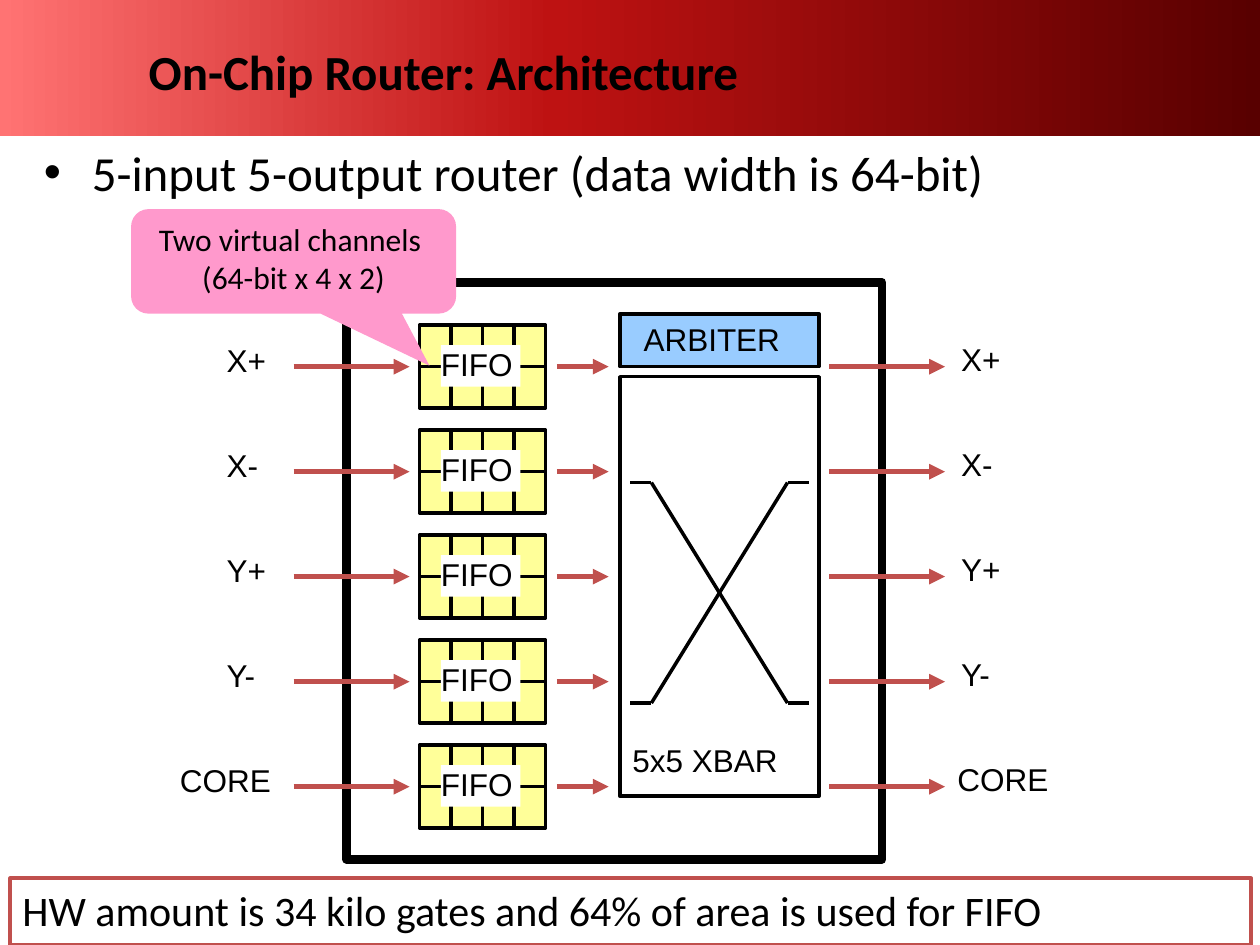
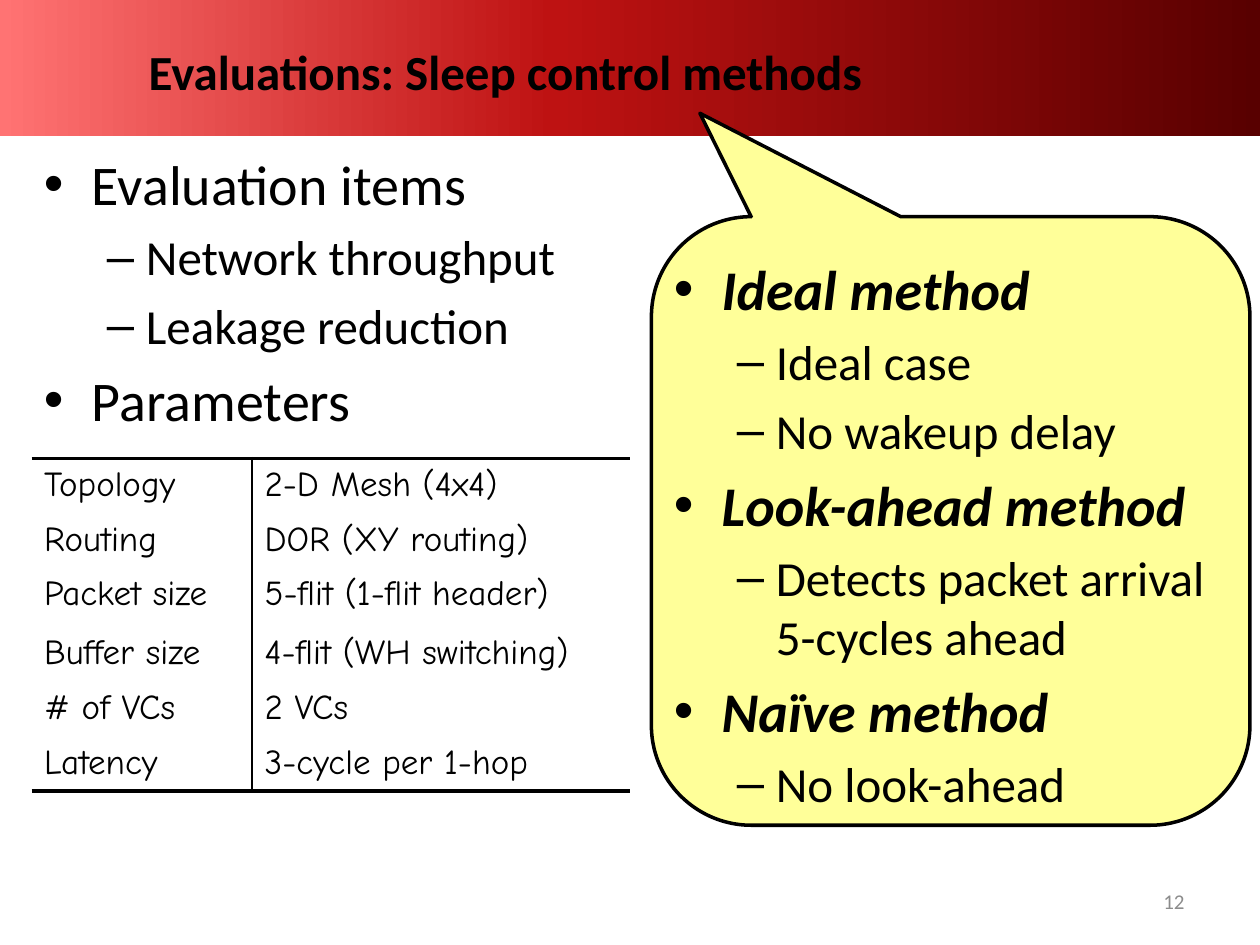
from copy import deepcopy
from dataclasses import dataclass

from lxml import etree
from pptx import Presentation
from pptx.dml.color import RGBColor
from pptx.enum.shapes import MSO_CONNECTOR, MSO_SHAPE
from pptx.enum.text import MSO_ANCHOR, MSO_AUTO_SIZE, PP_ALIGN
from pptx.oxml.ns import qn
from pptx.util import Inches, Pt

RECTANGLE = MSO_SHAPE.RECTANGLE
CALLOUT = MSO_SHAPE.ROUNDED_RECTANGULAR_CALLOUT
STRAIGHT = MSO_CONNECTOR.STRAIGHT
TOP, MIDDLE = MSO_ANCHOR.TOP, MSO_ANCHOR.MIDDLE
LEFT, CENTER, RIGHT = PP_ALIGN.LEFT, PP_ALIGN.CENTER, PP_ALIGN.RIGHT
NO_AUTOFIT = MSO_AUTO_SIZE.NONE
PLAIN_TABLE = "{2D5ABB26-0587-4C30-8999-92F81FD0307C}"


@dataclass(frozen=True)
class Theme:
    """Colours, fonts and type sizes of the deck."""
    ink: str = "000000"
    paper: str = "FFFFFF"
    accent: str = "C0504D"
    yellow: str = "FFFF99"
    pink: str = "FF99CC"
    blue: str = "99CCFF"
    grey: str = "8C8C8C"
    band: tuple = ((0, "FF7373"), (0.44, "BE1212"), (1, "580000"))
    body_font: str = "Calibri"
    label_font: str = "Arial"
    table_font: str = "Comic Neue"
    heading: int = 32
    title: int = 28
    note: int = 24
    cell: int = 20
    label: int = 18
    footer: int = 12


@dataclass(frozen=True)
class Box:
    """A rectangle in inches."""
    left: float
    top: float
    width: float
    height: float

    def inner(self, left, top, width, height):
        """Return a box placed relative to this one."""
        return Box(self.left + left, self.top + top, width, height)

    def lengths(self):
        """Return the four sides as lengths."""
        return [Inches(side) for side in (self.left, self.top, self.width, self.height)]


THEME = Theme()


def apply(target, values):
    """Set each named attribute on the target."""
    for name, value in values.items():
        setattr(target, name, value)


def write(para, text, size, font=THEME.body_font, color=THEME.ink, align=LEFT, **style):
    """Write one formatted span into a paragraph."""
    para.alignment = align
    span = para.add_run()
    span.text = text
    apply(span.font, {"size": Pt(size), "name": font, **style})
    span.font.color.rgb = RGBColor.from_string(color)


def space_before(para):
    """Put a fifth of a line above a paragraph."""
    spacing = etree.SubElement(para._p.get_or_add_pPr(), qn("a:spcBef"))
    etree.SubElement(spacing, qn("a:spcPct"), val="20000")


def add_text(page, box, text, size, anchor=TOP, **style):
    """Add a text box with one paragraph."""
    frame = page.shapes.add_textbox(*box.lengths()).text_frame
    apply(frame, {"word_wrap": True, "vertical_anchor": anchor})
    write(frame.paragraphs[0], text, size, **style)


def add_shape(page, box, fill, line=None, weight=2, kind=RECTANGLE):
    """Add a flat preset shape and return it."""
    shape = page.shapes.add_shape(kind, *box.lengths())
    shape.shadow.inherit = False
    shape.fill.solid()
    shape.fill.fore_color.rgb = RGBColor.from_string(fill)
    if line:
        shape.line.color.rgb = RGBColor.from_string(line)
        shape.line.width = Pt(weight)
    else:
        shape.line.fill.background()
    apply(shape.text_frame, {"word_wrap": True, "vertical_anchor": TOP})
    return shape


def add_callout(page, box, fill, tip, line=None):
    """Add a rounded callout whose tip is given in box fractions."""
    callout = add_shape(page, box, fill, line, kind=CALLOUT)
    for index, value in enumerate((*tip, 0.167)):
        callout.adjustments[index] = value
    return callout


def add_line(page, box, start, end, color=THEME.ink, weight=2, arrow=False):
    """Draw a straight line between two points of a box."""
    ends = [Inches(value) for x, y in (start, end) for value in (box.left + x, box.top + y)]
    line = page.shapes.add_connector(STRAIGHT, *ends)
    line.line.color.rgb = RGBColor.from_string(color)
    line.line.width = Pt(weight)
    properties = line.element.spPr
    if arrow:
        etree.SubElement(properties.find(qn("a:ln")), qn("a:tailEnd"), type="triangle")
    etree.SubElement(properties, qn("a:effectLst"))


def add_band(deck, page, box):
    """Place the gradient title band on the slide master."""
    band = add_shape(page, box, THEME.accent)
    band.fill.gradient()
    band.fill.gradient_angle = 0
    stops = band.element.find(".//" + qn("a:gsLst"))
    stops.insert(1, deepcopy(stops[0]))
    for stop, (position, color) in zip(band.fill.gradient_stops, THEME.band):
        stop.position = position
        stop.color.rgb = RGBColor.from_string(color)
    deck.slide_master.shapes.element.insert(2, band.element)


def add_page(deck, title):
    """Add a title-only page with its heading."""
    page = deck.slides.add_slide(deck.slide_layouts[5])
    holder = page.shapes.title
    sides = Box(1.08, 0.17, 8.42, 0.78).lengths()
    apply(holder, dict(zip(("left", "top", "width", "height"), sides)))
    frame = holder.text_frame
    apply(frame, {"vertical_anchor": MIDDLE, "word_wrap": True, "auto_size": NO_AUTOFIT})
    write(frame.paragraphs[0], title, THEME.title, bold=True)
    return page


def add_bullets(page, box, items, heading=THEME.heading, **heading_style):
    """Fill a box with (level, text) bullets."""
    frame = page.shapes.add_textbox(*box.lengths()).text_frame
    frame.word_wrap = True
    for index, (level, text) in enumerate(items):
        para = frame.add_paragraph() if index else frame.paragraphs[0]
        para.level = level
        margin, hanging, mark = ((0.38, 0.38, "•"), (0.81, 0.31, "–"))[level]
        properties = para._p.get_or_add_pPr()
        properties.set("marL", str(Inches(margin)))
        properties.set("indent", str(-Inches(hanging)))
        space_before(para)
        etree.SubElement(properties, qn("a:buFont"), typeface=THEME.label_font)
        etree.SubElement(properties, qn("a:buChar"), char=mark)
        style = {} if level else heading_style
        write(para, text, THEME.title if level else heading, **style)


def add_label(page, box, text):
    """Add a diagram label."""
    add_text(page, box, text, THEME.label, font=THEME.label_font)


def add_fifo(page, box):
    """Draw a two by four grid of buffer cells with its name."""
    width, height = box.width / 4, box.height / 2
    for row in range(2):
        for column in range(4):
            cell = box.inner(column * width, row * height, width, height)
            add_shape(page, cell, THEME.yellow, THEME.ink)
    name = add_shape(page, box.inner(0.17, 0.16, 0.63, 0.33), THEME.paper)
    margins = ("margin_left", "margin_top", "margin_right", "margin_bottom")
    apply(name.text_frame, dict.fromkeys(margins, 0))
    write(name.text_frame.paragraphs[0], "FIFO", THEME.label, font=THEME.label_font)


def add_crossbar(page, box):
    """Draw the crossbar switch with its crossing paths."""
    add_shape(page, box, THEME.paper, THEME.ink)
    outer, inner, high, low = 0.08, 0.25, 0.84, 2.59
    far_inner, far_outer = box.width - inner, box.width - outer
    for start, end in ((high, low), (low, high)):
        add_line(page, box, (inner, start), (far_inner, end))
        add_line(page, box, (outer, start), (inner, start))
        add_line(page, box, (far_inner, start), (far_outer, start))
    add_label(page, box.inner(0, 2.84, 1.48, 0.43), "5x5 XBAR")


def add_router(page, box):
    """Draw the router frame, its ports, buffers, arbiter and crossbar."""
    add_shape(page, box, THEME.paper, THEME.ink, weight=5)
    add_crossbar(page, box.inner(2.17, 0.75, 1.58, 3.33))
    add_shape(page, box.inner(2.17, 0.25, 1.58, 0.42), THEME.blue, THEME.ink)
    add_label(page, box.inner(2.26, 0.25, 1.4, 0.43), "ARBITER")
    ports = (("X+", 0.55), ("X-", 0.48), ("Y+", 0.55), ("Y-", 0.48), ("CORE", 1))
    for row, (port, width) in enumerate(ports):
        middle = 0.67 + row * 2.5 / 3
        add_fifo(page, box.inner(0.58, middle - 0.33, 1, 0.66))
        for start, end in ((-0.42, 0.5), (1.67, 2.08), (3.83, 4.75)):
            add_line(page, box, (start, middle), (end, middle), THEME.accent, 3, arrow=True)
        entry, leave = (-1.42, 4.75) if port == "CORE" else (-1.05, 4.78)
        for left, rise in ((entry, 0.25), (leave, 0.26)):
            add_label(page, box.inner(left, middle - rise, width, 0.43), port)


def add_parameters(page, box, rows):
    """Add the parameter table ruled above, below and between columns."""
    table = page.shapes.add_table(len(rows), 2, *box.lengths()).table
    apply(table, {"first_row": False, "horz_banding": False})
    table._tbl.find(".//" + qn("a:tableStyleId")).text = PLAIN_TABLE
    for column, width in zip(table.columns, (1.75, 3)):
        column.width = Inches(width)
    last = len(rows) - 1
    for index, texts in enumerate(rows):
        table.rows[index].height = Inches(0.47 if index == 3 - 1 else 0.43)
        for column, text in enumerate(texts):
            cell = table.cell(index, column)
            para = cell.text_frame.paragraphs[0]
            space_before(para)
            write(para, text, THEME.cell, font=THEME.table_font)
            weights = {"a:lnL": column, "a:lnR": 1 - column,
                       "a:lnT": 2.25 * (index == 0), "a:lnB": 2.25 * (index == last)}
            rule_cell(cell, weights)
            cell.fill.background()


def rule_cell(cell, weights):
    """Draw the cell borders that have a weight."""
    properties = cell._tc.get_or_add_tcPr()
    for side, weight in weights.items():
        if weight:
            border = etree.SubElement(properties, qn(side), w=str(Pt(weight)))
            fill = etree.SubElement(border, qn("a:solidFill"))
            etree.SubElement(fill, qn("a:srgbClr"), val=THEME.ink)


def build_architecture(deck):
    """Build the router architecture page."""
    page = add_page(deck, "On-Chip Router: Architecture")
    add_band(deck, page, Box(0, 0, 10, 1.08))
    add_bullets(page, Box(0.25, 1.08, 9.58, 0.58),
                [(0, "5-input 5-output router (data width is 64-bit)")], THEME.title)
    add_router(page, Box(2.75, 2.24, 4.25, 4.58))
    callout = add_callout(page, Box(1.04, 1.66, 2.58, 0.83), THEME.pink, (0.418, 0.998))
    frame = callout.text_frame
    write(frame.paragraphs[0], "Two virtual channels ", THEME.label, align=CENTER)
    write(frame.add_paragraph(), "(64-bit x 4 x 2)", THEME.label, align=CENTER)
    summary = add_shape(page, Box(0.08, 6.97, 9.85, 0.53), THEME.paper, THEME.accent)
    write(summary.text_frame.paragraphs[0],
          "HW amount is 34 kilo gates and 64% of area is used for FIFO", THEME.note)


def build_evaluations(deck):
    """Build the sleep control evaluation page."""
    page = add_page(deck, "Evaluations: Sleep control methods")
    add_text(page, Box(7.17, 6.95, 2.33, 0.4), "12", THEME.footer,
             anchor=MIDDLE, color=THEME.grey, align=RIGHT)
    add_callout(page, Box(5.17, 1.72, 4.75, 4.83), THEME.yellow, (-0.419, -0.67), THEME.ink)
    add_bullets(page, Box(0.25, 1.14, 6.58, 2.42), [
        (0, "Evaluation items"), (1, "Network throughput"),
        (1, "Leakage reduction"), (0, "Parameters")])
    add_bullets(page, Box(5.25, 1.97, 4.67, 4.67), [
        (0, "Ideal method"), (1, "Ideal case"), (1, "No wakeup delay"),
        (0, "Look-ahead method"), (1, "Detects packet arrival 5-cycles ahead"),
        (0, "Naïve method"), (1, "No look-ahead")], bold=True, italic=True)
    add_parameters(page, Box(0.25, 3.64, 4.75, 2.64), [
        ("Topology", "2-D Mesh (4x4)"), ("Routing", "DOR (XY routing)"),
        ("Packet size", "5-flit (1-flit header)"),
        ("Buffer size", "4-flit (WH switching)"),
        ("# of VCs", "2 VCs"), ("Latency", "3-cycle per 1-hop")])


def main():
    """Build and save the deck."""
    deck = Presentation()
    apply(deck, {"slide_width": Inches(10), "slide_height": Inches(7.5)})
    build_architecture(deck)
    build_evaluations(deck)
    deck.save("out.pptx")


main()
